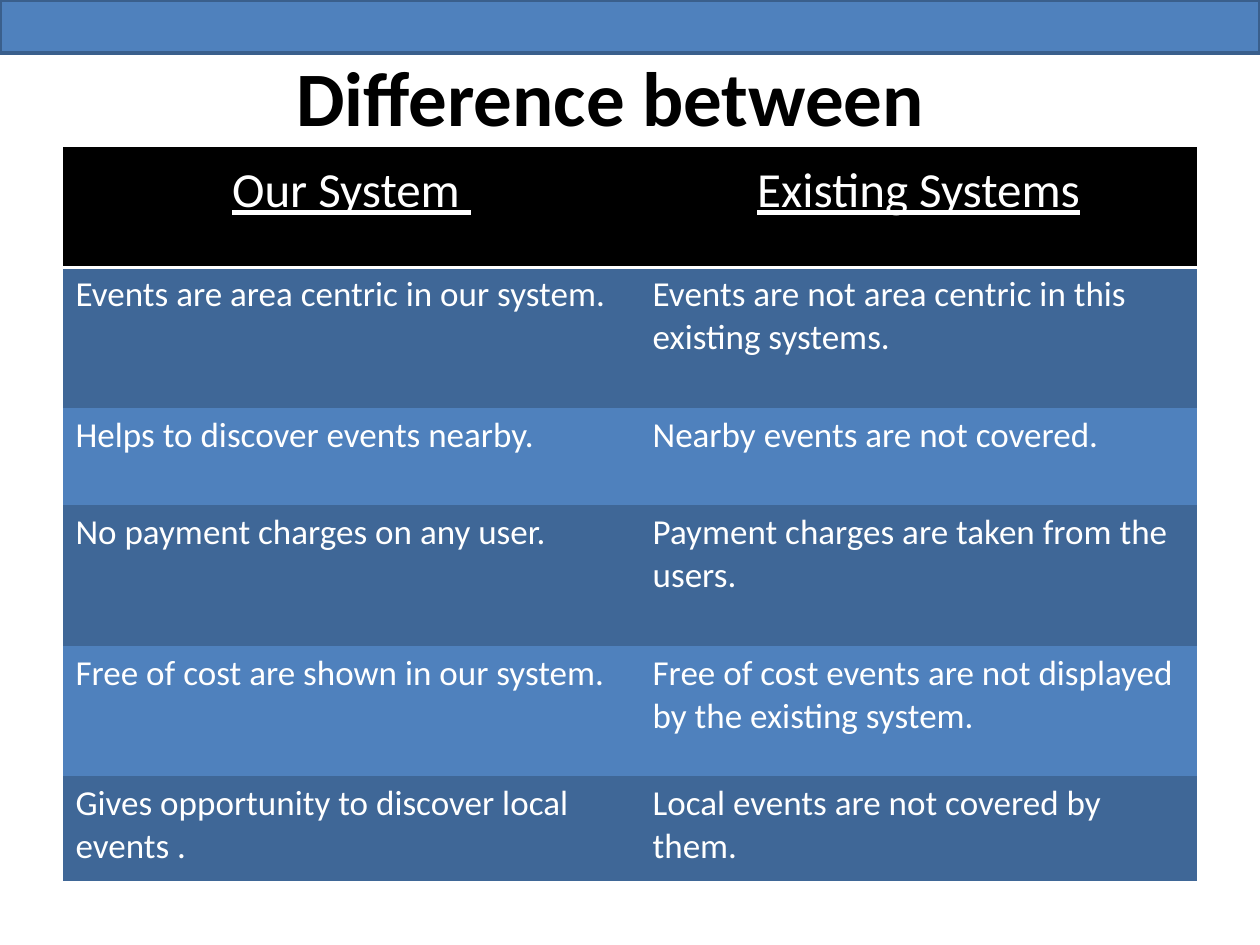
from lxml.etree import SubElement
from pptx import Presentation
from pptx.dml.color import RGBColor
from pptx.enum.shapes import MSO_SHAPE
from pptx.enum.text import MSO_ANCHOR, PP_ALIGN
from pptx.oxml.ns import qn
from pptx.util import Inches, Pt

FONT = "Calibri"
NO_STYLE = "{2D5ABB26-0587-4C30-8999-92F81FD0307C}"
COLOURS = {
    "bar": "4F81BD",
    "bar_line": "3A5F8C",
    "title": "000000",
    "header": "000000",
    "odd_row": "3F6797",
    "even_row": "4F81BD",
    "light": "FFFFFF",
}
HEADINGS = ("Our System ", "Existing Systems")
COMPARISONS = (
    ("Events are area centric in our system.",
     "Events are not area centric in this existing systems."),
    ("Helps to discover events nearby.",
     "Nearby events are not covered."),
    ("No payment charges on any user.",
     "Payment charges are taken from the users."),
    ("Free of cost are shown in our system.",
     "Free of cost events are not displayed by the existing system."),
    ("Gives opportunity to discover local events .",
     "Local events are not covered by them."),
)
COLUMN_WIDTHS = (4.58, 4.42)
ROW_HEIGHTS = (0.95, 1.12, 0.77, 1.12, 1.03, 0.83)


def colour(name):
    return RGBColor.from_string(COLOURS[name])


def write(text_frame, text, size, colour_name, align, bold=False, underline=False):
    para = text_frame.paragraphs[0]
    para.text = text
    para.alignment = align
    font = para.runs[0].font
    font.name = FONT
    font.size = Pt(size)
    font.bold = bold
    font.underline = underline
    font.color.rgb = colour(colour_name)


def add_title(page, left, top, width, height):
    box = page.shapes.add_textbox(*map(Inches, (left, top, width, height)))
    frame = box.text_frame
    frame.word_wrap = True
    frame.vertical_anchor = MSO_ANCHOR.MIDDLE
    write(frame, "Difference between ", 44, "title", PP_ALIGN.CENTER, bold=True)


def add_top_bar(page, left, top, width, height):
    bar = page.shapes.add_shape(
        MSO_SHAPE.RECTANGLE, *map(Inches, (left, top, width, height)))
    bar.shadow.inherit = False
    bar.fill.solid()
    bar.fill.fore_color.rgb = colour("bar")
    bar.line.color.rgb = colour("bar_line")
    bar.line.width = Pt(2)


def fill_cell(cell, colour_name):
    cell.fill.solid()
    cell.fill.fore_color.rgb = colour(colour_name)


def underline_cell(cell, colour_name, width):
    """Draw a border along the bottom edge of the cell."""
    properties = cell._tc.get_or_add_tcPr()
    line = SubElement(properties, qn("a:lnB"), w=str(Pt(width)))
    fill = SubElement(line, qn("a:solidFill"))
    SubElement(fill, qn("a:srgbClr"), val=COLOURS[colour_name])
    properties.insert(0, line)


def add_comparison_table(page, left, top, width, height):
    rows = (HEADINGS,) + COMPARISONS
    table = page.shapes.add_table(
        len(rows), len(HEADINGS),
        *map(Inches, (left, top, width, height))).table
    table._tbl.tblPr.find(qn("a:tableStyleId")).text = NO_STYLE
    for column, column_width in zip(table.columns, COLUMN_WIDTHS):
        column.width = Inches(column_width)
    for row, row_height in zip(table.rows, ROW_HEIGHTS):
        row.height = Inches(row_height)

    for row_index, texts in enumerate(rows):
        for column_index, text in enumerate(texts):
            cell = table.cell(row_index, column_index)
            if row_index == 0:
                write(cell.text_frame, text, 28, "light", PP_ALIGN.CENTER,
                      underline=True)
                cell.vertical_anchor = MSO_ANCHOR.BOTTOM
                cell.margin_bottom = Inches(0.37)
                fill_cell(cell, "header")
                underline_cell(cell, "light", 2)
            else:
                write(cell.text_frame, text, 20, "light", PP_ALIGN.LEFT)
                fill_cell(cell, "odd_row" if row_index % 2 else "even_row")


def main():
    deck = Presentation()
    deck.slide_width = Inches(10)
    deck.slide_height = Inches(7.5)
    page = deck.slides.add_slide(deck.slide_layouts[6])
    add_title(page, 1.75, 0.22, 6.33, 1.08)
    add_top_bar(page, 0, 0, 10, 0.42)
    add_comparison_table(page, 0.5, 1.17, sum(COLUMN_WIDTHS), sum(ROW_HEIGHTS))
    deck.save("out.pptx")


if __name__ == "__main__":
    main()
